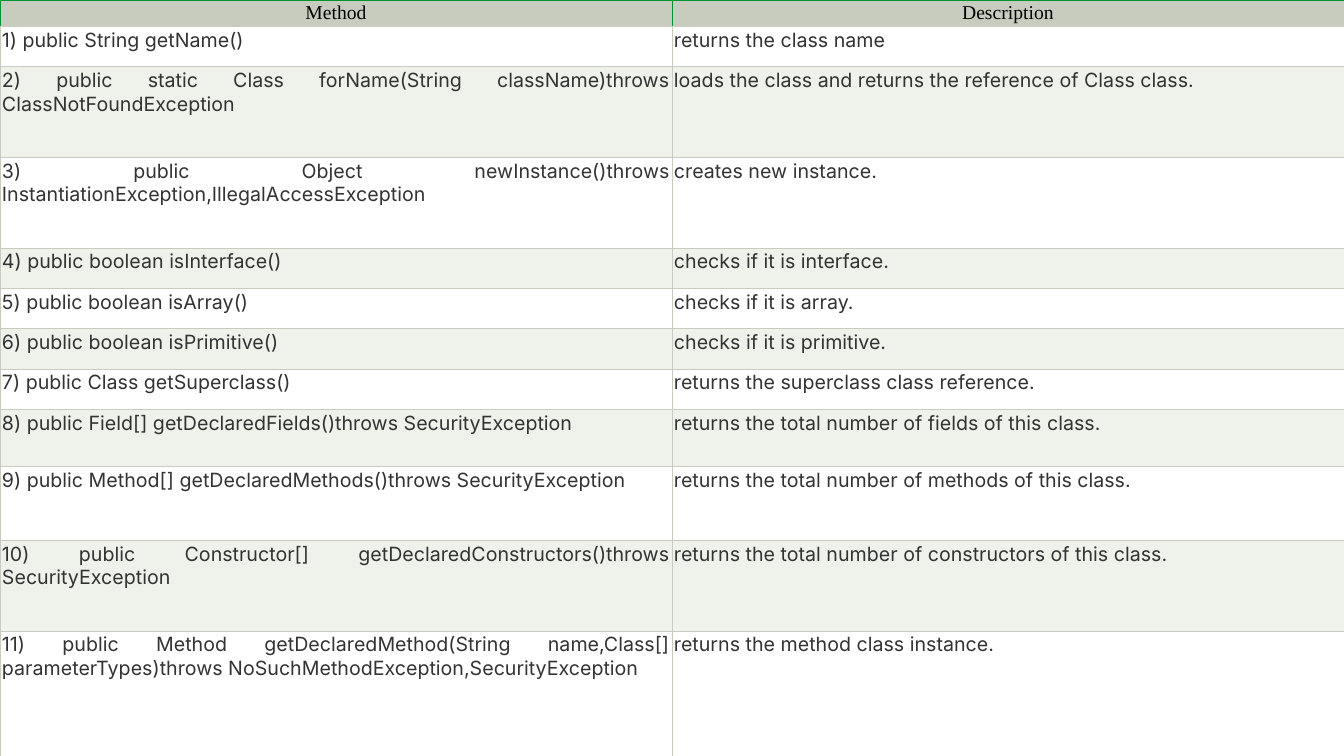
from lxml import etree
from pptx import Presentation
from pptx import util as u
from pptx.dml.color import RGBColor
from pptx.enum import text
from pptx.oxml.ns import qn

COLORS = {
    "header": "C7CCBE", "grid": "C7CCBE", "accent": "009130",
    "light": "FFFFFF", "band": "EFF1EB", "ink": "333333",
    "header_ink": "000000", "bg_top": "FFFFFF", "bg_bottom": "B9B9B9",
}

HEADINGS = ("Method", "Description")
METHODS = [  # signature, description, row height
    ("1) public String getName()", "returns the class name", 0.4),
    ("2) public static Class forName(String className)throws ClassNotFoundException",
     "loads the class and returns the reference of Class class.", 0.9),
    ("3) public Object newInstance()throws InstantiationException,IllegalAccessException",
     "creates new instance.", 0.9),
    ("4) public boolean isInterface()", "checks if it is interface.", 0.4),
    ("5) public boolean isArray()", "checks if it is array.", 0.4),
    ("6) public boolean isPrimitive()", "checks if it is primitive.", 0.4),
    ("7) public Class getSuperclass()", "returns the superclass class reference.", 0.4),
    ("8) public Field[] getDeclaredFields()throws SecurityException",
     "returns the total number of fields of this class.", 0.57),
    ("9) public Method[] getDeclaredMethods()throws SecurityException",
     "returns the total number of methods of this class.", 0.73),
    ("10) public Constructor[] getDeclaredConstructors()throws SecurityException",
     "returns the total number of constructors of this class.", 0.9),
    ("11) public Method getDeclaredMethod(String name,Class[] parameterTypes)"
     "throws NoSuchMethodException,SecurityException",
     "returns the method class instance.", 1.24),
]


def rgb(name):
    return RGBColor.from_string(COLORS[name])


class Deck:
    """Holds the text style and the current slide."""
    size = u.Pt(14)
    inset = u.Inches(0.02)
    line = u.Pt(0.5)

    def __init__(self, prs):
        self.s = prs.slides.add_slide(prs.slide_layouts[6])

    def background(self):
        fill = self.s.background.fill
        fill.gradient()
        fill.gradient_angle = 270
        for stop, name in zip(fill.gradient_stops, ("bg_top", "bg_bottom")):
            stop.color.rgb = rgb(name)

    def borders(self, cell, names):
        """Draw the left, right, top and bottom borders in the named colors."""
        tcPr = cell._tc.get_or_add_tcPr()
        for i, (side, name) in enumerate(zip("LRTB", names)):
            ln = etree.Element(qn(f"a:ln{side}"), w=str(self.line))
            fill = etree.SubElement(ln, qn("a:solidFill"))
            etree.SubElement(fill, qn("a:srgbClr"), val=COLORS[name])
            tcPr.insert(i, ln)

    def cell(self, cell, words, fill, ink, font, align, borders):
        cell.margin_left = cell.margin_right = self.inset
        cell.margin_top = cell.margin_bottom = self.inset
        cell.fill.solid()
        cell.fill.fore_color.rgb = rgb(fill)
        self.borders(cell, borders)
        p = cell.text_frame.paragraphs[0]
        p.text = words
        p.alignment = align
        p.font.size, p.font.name = self.size, font
        p.font.color.rgb = rgb(ink)

    def table(self, headings, rows, width, header_height):
        heights = [header_height] + [row[-1] for row in rows]
        table = self.s.shapes.add_table(
            len(heights), len(headings), 0, 0,
            u.Inches(width), u.Inches(sum(heights))).table
        for row, height in zip(table.rows, heights):
            row.height = u.Inches(height)

        # Header row
        for c, words in enumerate(headings):
            self.cell(table.cell(0, c), words, "header", "header_ink",
                      "Times New Roman", text.PP_ALIGN.CENTER,
                      ["accent"] * 3 + ["grid"])

        # Banded body rows
        for r, row in enumerate(rows, 1):
            for c, words in enumerate(row[:-1]):
                self.cell(table.cell(r, c), words, "light" if r % 2 else "band",
                          "ink", "Inter", text.PP_ALIGN.JUSTIFY, ["grid"] * 4)


def main():
    prs = Presentation()
    prs.slide_width, prs.slide_height = u.Inches(13.33), u.Inches(7.5)
    deck = Deck(prs)
    deck.background()
    deck.table(HEADINGS, METHODS, 13.33, 0.26)
    prs.save("out.pptx")


if __name__ == "__main__":
    main()
